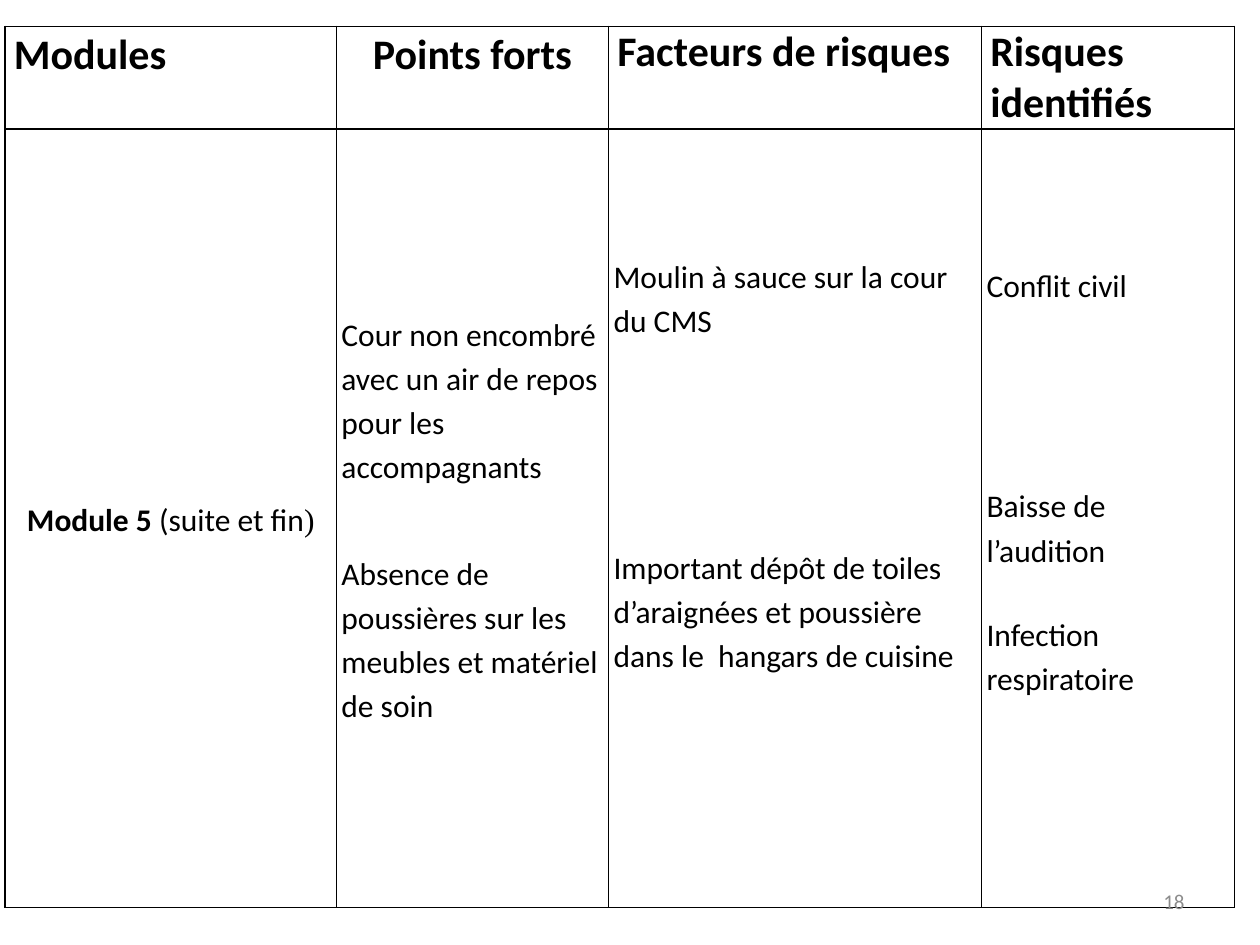
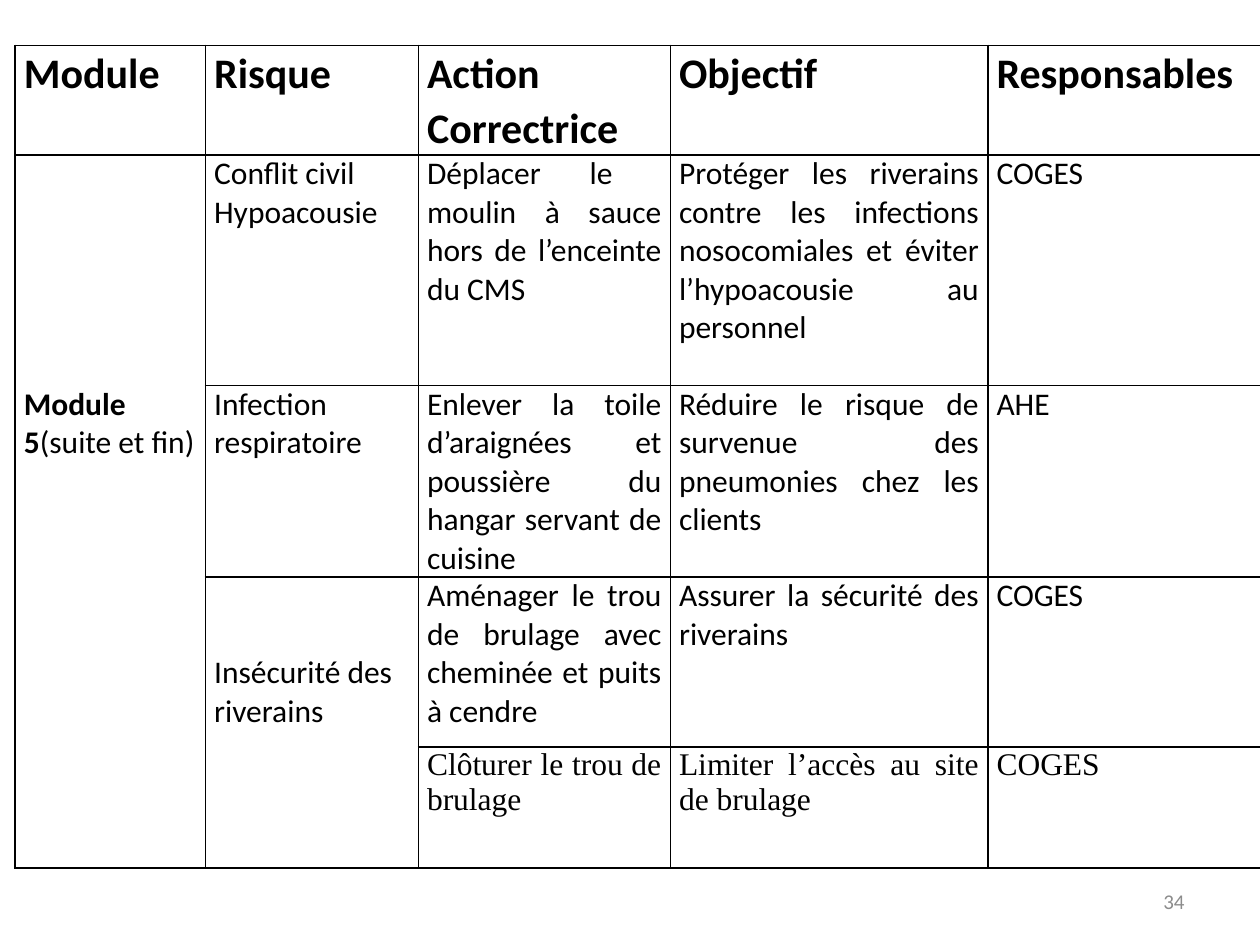
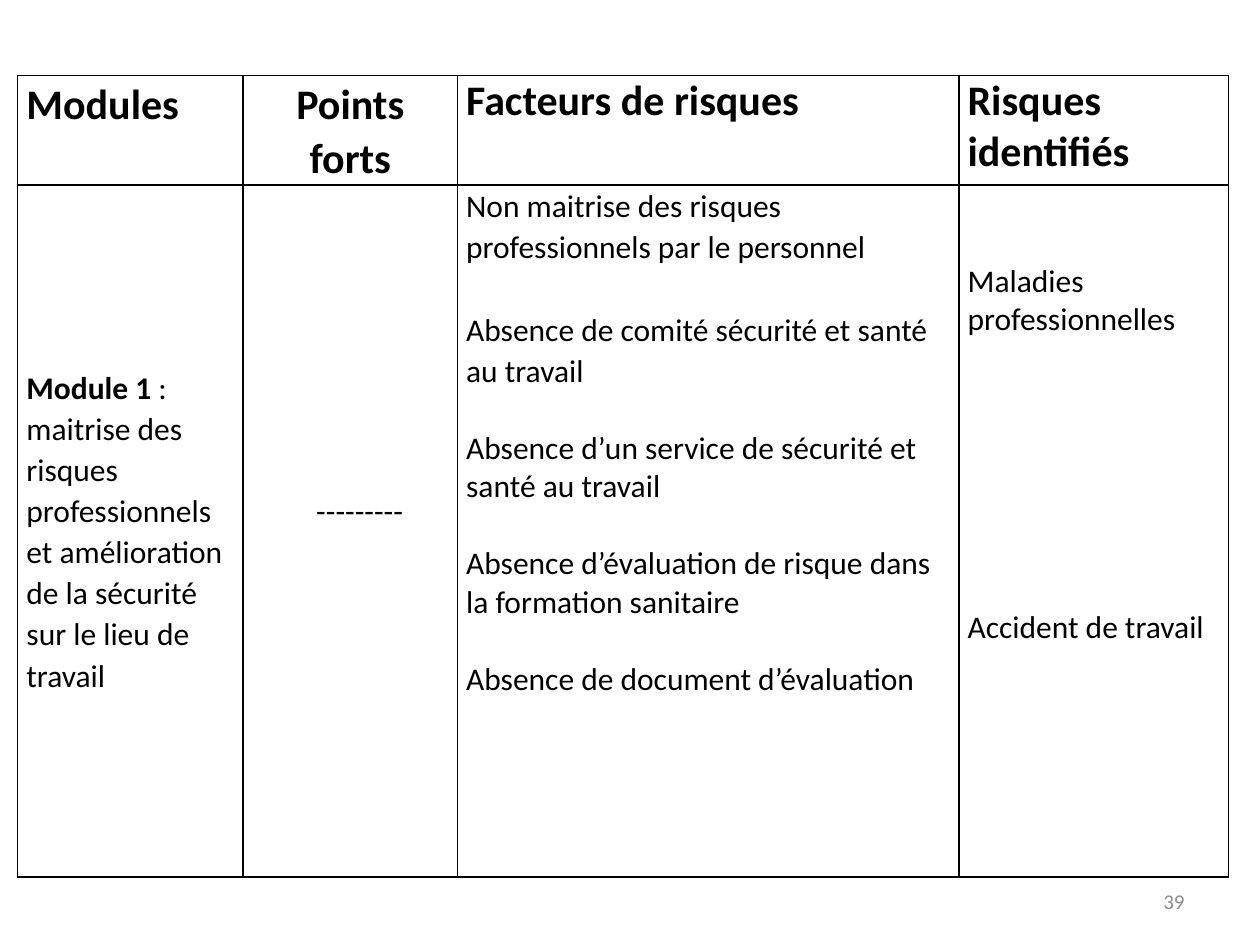
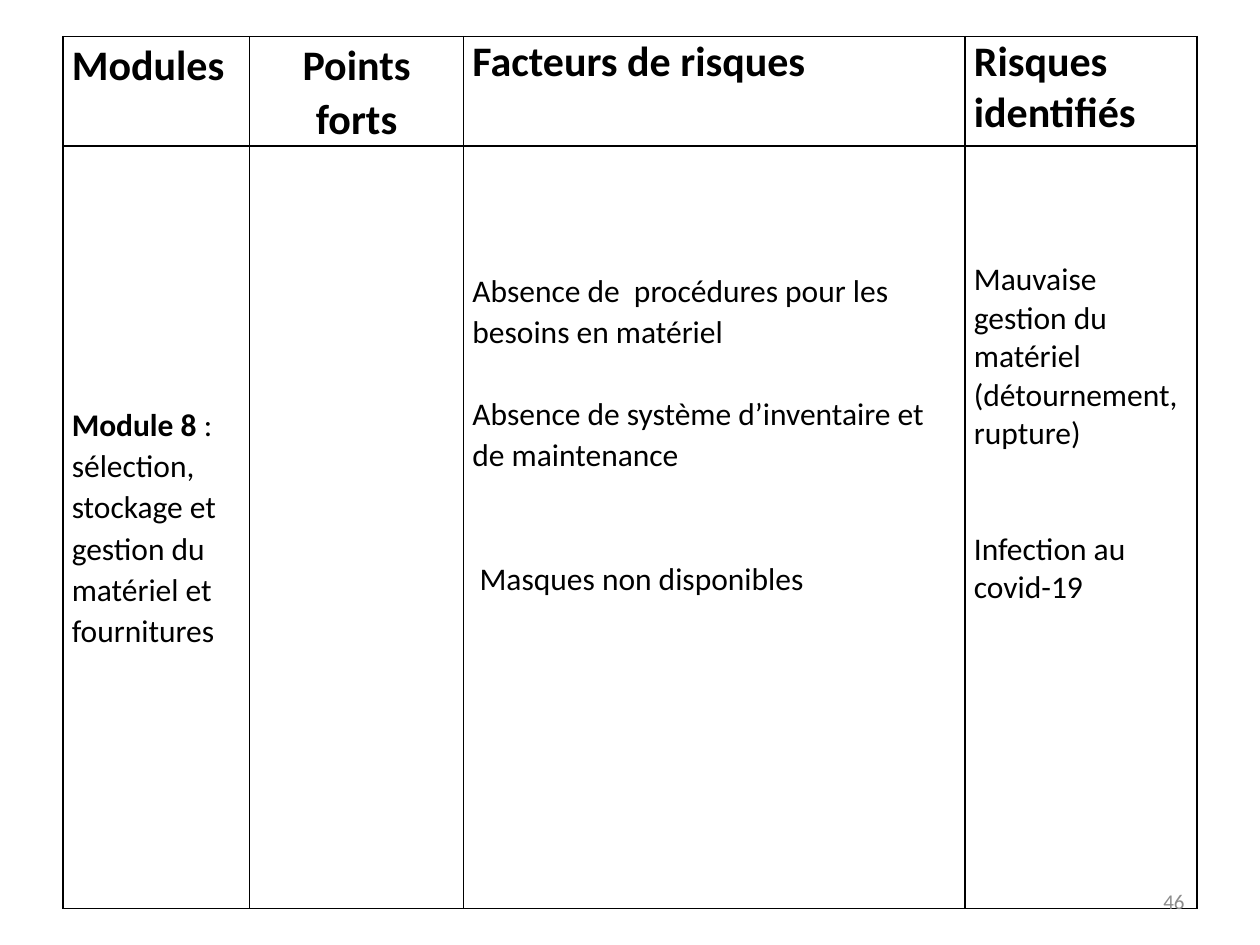
from dataclasses import dataclass

from lxml import etree
from pptx import Presentation
from pptx.dml.color import RGBColor
from pptx.enum.text import MSO_ANCHOR, PP_ALIGN
from pptx.oxml.ns import qn
from pptx.util import Inches, Pt

LEFT, CENTER, RIGHT, JUSTIFY = PP_ALIGN.LEFT, PP_ALIGN.CENTER, PP_ALIGN.RIGHT, PP_ALIGN.JUSTIFY
TOP, MIDDLE = MSO_ANCHOR.TOP, MSO_ANCHOR.MIDDLE

BLACK = RGBColor(0x00, 0x00, 0x00)
GREY = RGBColor(0x8C, 0x8C, 0x8C)
SANS = "Calibri"
SERIF = "Times New Roman"
HEADING_SIZE, BODY_SIZE, NUMBER_SIZE = 24, 18, 12
LOOSE, WIDE = 1.07, 1.15
HEADER_HEIGHT = 0.87
SIDE, NARROW_SIDE = 0.07, 0.04
RISK_HEADINGS = ["Modules", "Points forts", "Facteurs de risques", "Risques identifiés"]
ACTION_HEADINGS = ["Module", "Risque", "Action Correctrice", "Objectif", "Responsables"]


@dataclass
class Entry:
    """One paragraph of a cell, with the space in points above it."""
    text: str
    gap: float = 0
    spacing: float = 1.0


def set_font(font, size=BODY_SIZE, bold=False, name=SANS, color=BLACK):
    """Set the size, weight, typeface and colour of a font."""
    font.size = Pt(size)
    font.bold = bold
    font.name = name
    font.color.rgb = color


def frame_cell(cell):
    """Give a cell thin black borders and no fill."""
    properties = cell._tc.get_or_add_tcPr()
    for side in ("a:lnL", "a:lnR", "a:lnT", "a:lnB"):
        border = etree.SubElement(properties, qn(side), w=str(Pt(1)))
        fill = etree.SubElement(border, qn("a:solidFill"))
        etree.SubElement(fill, qn("a:srgbClr"), val=str(BLACK))
    cell.fill.background()


def set_insets(cell, side=SIDE, top=0, anchor=TOP):
    """Set the inner margins and the vertical anchor of a cell."""
    cell.margin_left = cell.margin_right = Inches(side)
    cell.margin_top = Inches(top)
    cell.margin_bottom = 0
    cell.vertical_anchor = anchor


def write_entries(cell, entries, align=LEFT, size=BODY_SIZE, bold=False, name=SANS, **insets):
    """Write entries as the paragraphs of a cell."""
    set_insets(cell, **insets)
    frame = cell.text_frame
    for index, entry in enumerate(entries):
        paragraph = frame.add_paragraph() if index else frame.paragraphs[0]
        paragraph.text = entry.text
        paragraph.alignment = align
        paragraph.line_spacing = entry.spacing
        if entry.gap:
            paragraph.space_before = Pt(entry.gap)
        set_font(paragraph.font, size, bold, name)


def write_module(cell, label, description, spacing=LOOSE, align=LEFT, **insets):
    """Write a bold module label followed by its description, and return the paragraph."""
    set_insets(cell, **insets)
    paragraph = cell.text_frame.paragraphs[0]
    paragraph.alignment = align
    paragraph.line_spacing = spacing
    for text, bold in ((label, True), (description, False)):
        run = paragraph.add_run()
        run.text = text
        set_font(run.font, bold=bold)
    return paragraph


def add_grid(slide, left, top, widths, heights):
    """Add a plain bordered table with the given column widths and row heights."""
    table = slide.shapes.add_table(
        len(heights), len(widths), Inches(left), Inches(top),
        Inches(sum(widths)), Inches(sum(heights))).table
    table.first_row = table.horz_banding = False
    for column, width in zip(table.columns, widths):
        column.width = Inches(width)
    for row, height in zip(table.rows, heights):
        row.height = Inches(height)
    for cell in table.iter_cells():
        frame_cell(cell)
    return table


def write_heading(cell, text, spacing=LOOSE, align=LEFT):
    """Write a bold column heading."""
    write_entries(cell, [Entry(text, spacing=spacing)], align, HEADING_SIZE, True)


def add_risk_table(slide, left, top, widths, body_height, header_height=HEADER_HEIGHT):
    """Add the four-column risk table and return its body cells."""
    table = add_grid(slide, left, top, widths, [header_height, body_height])
    styles = [(LOOSE, LEFT), (LOOSE, CENTER), (1.0, LEFT), (1.0, LEFT)]
    for column, (heading, style) in enumerate(zip(RISK_HEADINGS, styles)):
        write_heading(table.cell(0, column), heading, *style)
    return [table.cell(1, column) for column in range(len(widths))]


def add_number(slide, number):
    """Add the grey slide number at the bottom right."""
    box = slide.shapes.add_textbox(Inches(7.17), Inches(6.95), Inches(2.33), Inches(0.4))
    frame = box.text_frame
    frame.word_wrap = True
    frame.vertical_anchor = MIDDLE
    paragraph = frame.paragraphs[0]
    paragraph.text = str(number)
    paragraph.alignment = RIGHT
    set_font(paragraph.font, NUMBER_SIZE, color=GREY)


def build_module_5_risks(slide):
    """Fill the slide on the risks of module 5."""
    module, strengths, factors, risks = add_risk_table(
        slide, 0.04, 0.21, [2.63, 2.16, 2.96, 2.01], 6.18, 0.81)
    label = write_module(module, "Module 5 ", "(suite et fin", WIDE, CENTER,
                         side=NARROW_SIDE, anchor=MIDDLE)
    closing = label.add_run()
    closing.text = ")"
    set_font(closing.font, name=SERIF)
    write_entries(strengths, [
        Entry("Cour non encombré avec un air de repos pour les accompagnants", spacing=WIDE),
        Entry("Absence de poussières sur les meubles et matériel de soin", 35.5, WIDE),
    ], side=NARROW_SIDE, anchor=MIDDLE)
    write_entries(factors, [
        Entry("Moulin à sauce sur la cour du CMS", spacing=WIDE),
        Entry("Important dépôt de toiles d’araignées et poussière dans le  hangars de cuisine",
              116, WIDE),
    ], side=NARROW_SIDE, top=0.98)
    write_entries(risks, [
        Entry("Conflit civil", spacing=WIDE),
        Entry("Baisse de l’audition", 101, WIDE),
        Entry("Infection respiratoire", 22.7, WIDE),
    ], side=NARROW_SIDE, top=1.05)


def build_module_5_actions(slide):
    """Fill the slide on the corrective actions of module 5."""
    table = add_grid(slide, 0.12, 0.36, [1.51, 1.69, 2, 2.52, 2.17],
                     [HEADER_HEIGHT, 1.83, 1.52, 1.35, 0.96])
    for column, heading in enumerate(ACTION_HEADINGS):
        write_heading(table.cell(0, column), heading)
    table.cell(1, 0).merge(table.cell(4, 0))
    table.cell(3, 1).merge(table.cell(4, 1))
    write_module(table.cell(1, 0), "Module 5", "(suite et fin)", 1.0, top=1.83)
    risks = [
        (["Conflit civil", "Hypoacousie"], 0),
        (["Infection respiratoire"], 0),
        (["Insécurité des riverains"], 0.61),
    ]
    for row, (names, top) in enumerate(risks, 1):
        write_entries(table.cell(row, 1), [Entry(name) for name in names], top=top)
    actions = [
        ("Déplacer le  moulin à sauce hors de l’enceinte du CMS",
         "Protéger les riverains contre les infections nosocomiales et éviter "
         "l’hypoacousie au personnel", "COGES", SANS),
        ("Enlever la toile d’araignées et poussière du hangar servant de cuisine",
         "Réduire le risque de survenue des pneumonies chez les clients", "AHE", SANS),
        ("Aménager le trou de brulage avec cheminée et puits à cendre",
         "Assurer la sécurité des riverains", "COGES", SANS),
        ("Clôturer le trou de brulage", "Limiter l’accès au site de brulage", "COGES", SERIF),
    ]
    for row, (*texts, typeface) in enumerate(actions, 1):
        for column, text in enumerate(texts, 2):
            write_entries(table.cell(row, column), [Entry(text)], JUSTIFY, name=typeface)


def build_module_1_risks(slide):
    """Fill the slide on the risks of module 1."""
    module, strengths, factors, risks = add_risk_table(
        slide, 0.14, 0.6, [1.79, 1.7, 3.98, 2.14], 5.49)
    write_module(module, "Module 1 ", ": maitrise des risques professionnels et amélioration "
                 "de la sécurité sur le lieu de travail", anchor=MIDDLE)
    write_entries(strengths, [Entry("---------", spacing=LOOSE)], anchor=MIDDLE)
    strengths.margin_left = Inches(0.58)
    strengths.margin_bottom = Inches(0.33)
    write_entries(factors, [
        Entry("Non maitrise des risques professionnels par le personnel", spacing=LOOSE),
        Entry("Absence de comité sécurité et santé au travail", 23.5, LOOSE),
        Entry("Absence d’un service de sécurité et santé au travail", 22),
        Entry("Absence d’évaluation de risque dans la formation sanitaire", 22),
        Entry("Absence de document d’évaluation", 22),
    ])
    write_entries(risks, [
        Entry("Maladies professionnelles"),
        Entry("Accident de travail", 154),
    ], top=0.61)


def build_module_8_risks(slide):
    """Fill the slide on the risks of module 8."""
    module, _, factors, risks = add_risk_table(
        slide, 0.5, 0.29, [1.48, 1.7, 3.98, 1.84], 6.05)
    write_module(module, "Module 8", " : sélection, stockage et gestion du matériel "
                 "et fournitures", anchor=MIDDLE)
    write_entries(factors, [
        Entry("Absence de  procédures pour les besoins en matériel", spacing=LOOSE),
        Entry("Absence de système d’inventaire et de maintenance", 23.5, LOOSE),
        Entry(" Masques non disponibles", 47, LOOSE),
    ], top=0.98)
    write_entries(risks, [
        Entry("Mauvaise gestion du matériel (détournement, rupture)"),
        Entry("Infection au covid-19", 44),
    ], top=0.91)


def main():
    """Build the four slides and save the presentation."""
    presentation = Presentation()
    presentation.slide_width = Inches(10)
    presentation.slide_height = Inches(7.5)
    blank = presentation.slide_layouts[6]
    pages = [
        (18, build_module_5_risks),
        (34, build_module_5_actions),
        (39, build_module_1_risks),
        (46, build_module_8_risks),
    ]
    for number, build in pages:
        slide = presentation.slides.add_slide(blank)
        build(slide)
        add_number(slide, number)
    presentation.save("out.pptx")


if __name__ == "__main__":
    main()
